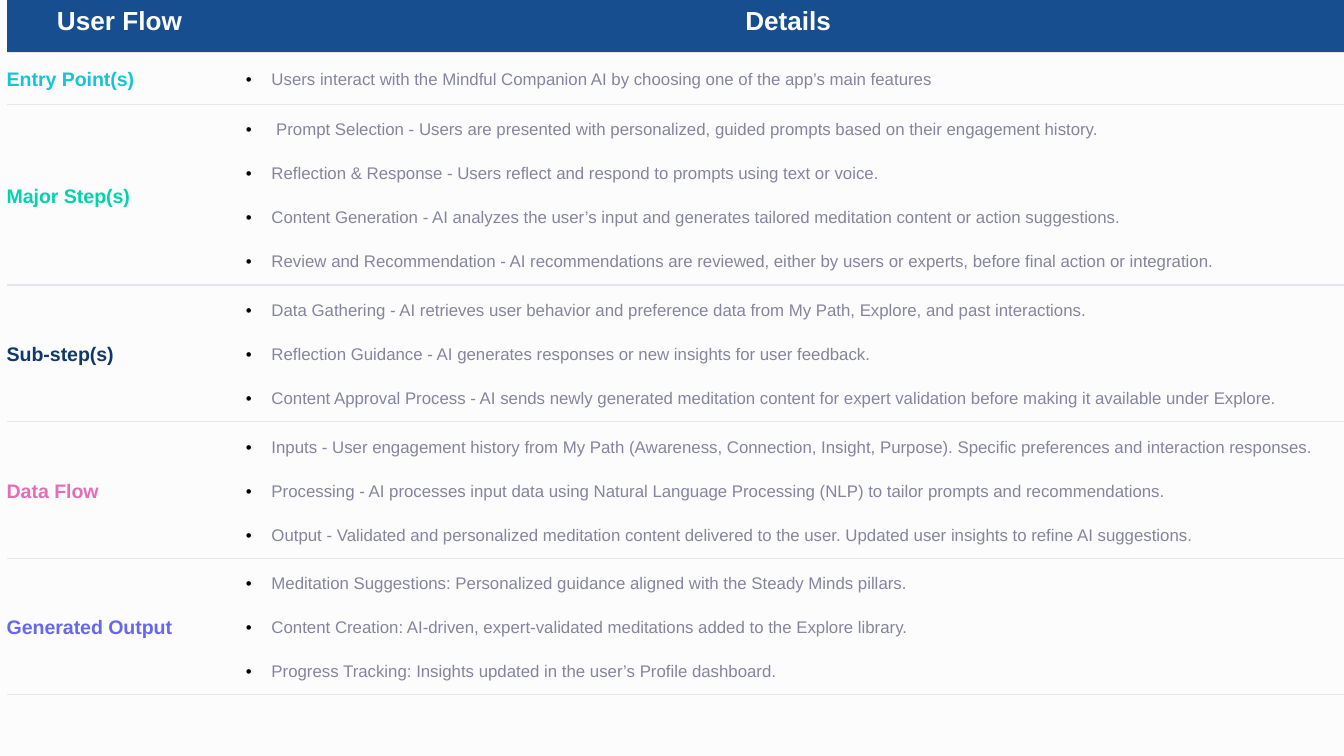
from lxml.etree import SubElement
from pptx import Presentation
from pptx.dml.color import RGBColor
from pptx.enum.text import MSO_ANCHOR, PP_ALIGN
from pptx.oxml.ns import qn
from pptx.util import Inches, Pt

COLORS = {
    "paper": "FCFCFC",
    "header": "174E8F",
    "rule": "E5E5EB",
    "detail": "85859F",
    "bullet": "000000",
    "entry": "18C3D9",
    "major": "00D3AD",
    "sub": "103869",
    "data": "E46EB5",
    "output": "6767ED",
}
COLUMN_WIDTHS = (1.78, 8.17)
ROW_HEIGHTS = (0.4, 0.34, 1.27, 0.96, 0.83, 0.96)
HEADINGS = ("User Flow", "Details")
STAGES = (
    ("Entry Point(s)", "entry", (
        "Users interact with the Mindful Companion AI by choosing one of the app’s main features",
    )),
    ("Major Step(s)", "major", (
        " Prompt Selection - Users are presented with personalized, guided prompts based on their engagement history.",
        "Reflection & Response - Users reflect and respond to prompts using text or voice.",
        "Content Generation - AI analyzes the user’s input and generates tailored meditation content or action suggestions.",
        "Review and Recommendation - AI recommendations are reviewed, either by users or experts, before final action or integration.",
    )),
    ("Sub-step(s)", "sub", (
        "Data Gathering - AI retrieves user behavior and preference data from My Path, Explore, and past interactions.",
        "Reflection Guidance - AI generates responses or new insights for user feedback.",
        "Content Approval Process - AI sends newly generated meditation content for expert validation before making it available under Explore.",
    )),
    ("Data Flow", "data", (
        "Inputs - User engagement history from My Path (Awareness, Connection, Insight, Purpose). Specific preferences and interaction responses.",
        "Processing - AI processes input data using Natural Language Processing (NLP) to tailor prompts and recommendations.",
        "Output - Validated and personalized meditation content delivered to the user. Updated user insights to refine AI suggestions.",
    )),
    ("Generated Output", "output", (
        "Meditation Suggestions: Personalized guidance aligned with the Steady Minds pillars.",
        "Content Creation: AI-driven, expert-validated meditations added to the Explore library.",
        "Progress Tracking: Insights updated in the user’s Profile dashboard.",
    )),
)


def rgb(name):
    """Return the named colour."""
    return RGBColor.from_string(COLORS[name])


def add_borders(cell, top):
    """Rule the cell above and below and leave its sides open."""
    properties = cell._tc.get_or_add_tcPr()
    for side, color in (("L", None), ("R", None), ("T", top), ("B", "rule")):
        line = SubElement(properties, qn(f"a:ln{side}"), w=str(Pt(0.75)))
        if color:
            fill = SubElement(line, qn("a:solidFill"))
            SubElement(fill, qn("a:srgbClr"), val=COLORS[color])
        else:
            SubElement(line, qn("a:noFill"))


def format_cell(cell, top_margin, top_rule="rule", fill=None):
    """Set the margins, anchor, rules and fill of a cell."""
    cell.margin_left = 0
    cell.margin_top = Inches(top_margin)
    cell.margin_right = cell.margin_bottom = Inches(0.1)
    cell.vertical_anchor = MSO_ANCHOR.MIDDLE
    add_borders(cell, top_rule)
    if fill:
        cell.fill.solid()
        cell.fill.fore_color.rgb = rgb(fill)
    else:
        cell.fill.background()


def write(paragraph, text, size, color, bold=True):
    """Add one formatted run to a paragraph."""
    paragraph.line_spacing = 1.15
    run = paragraph.add_run()
    run.text = text
    run.font.name = "Arial"
    run.font.size = Pt(size)
    run.font.bold = bold
    run.font.color.rgb = rgb(color)


def add_bullet(paragraph):
    """Give a paragraph a hanging round bullet."""
    properties = paragraph._p.get_or_add_pPr()
    properties.set("marL", str(Inches(0.19)))
    properties.set("indent", str(-Inches(0.19)))
    color = SubElement(properties, qn("a:buClr"))
    SubElement(color, qn("a:srgbClr"), val=COLORS["bullet"])
    SubElement(properties, qn("a:buFont"), typeface="Arial")
    SubElement(properties, qn("a:buChar"), char="•")


def fill_header(table):
    """Write the heading row."""
    for column, heading in enumerate(HEADINGS):
        cell = table.cell(0, column)
        format_cell(cell, 0, "paper", "header")
        paragraph = cell.text_frame.paragraphs[0]
        paragraph.alignment = PP_ALIGN.CENTER
        write(paragraph, heading, 14, "paper")


def fill_stage(table, row, label, color, details):
    """Write one stage label and its bulleted details."""
    label_cell, detail_cell = table.cell(row, 0), table.cell(row, 1)
    for cell in (label_cell, detail_cell):
        format_cell(cell, 0.1)
    write(label_cell.text_frame.paragraphs[0], label, 10.5, color)
    frame = detail_cell.text_frame
    for index, detail in enumerate(details):
        paragraph = frame.add_paragraph() if index else frame.paragraphs[0]
        add_bullet(paragraph)
        if index:
            paragraph.space_before = Pt(12)
        write(paragraph, detail, 9, "detail", bold=False)


def add_flow_table(slide):
    """Add the user flow table with its column and row sizes."""
    frame = slide.shapes.add_table(
        len(ROW_HEIGHTS), len(COLUMN_WIDTHS),
        Inches(0.05), Inches(-0.01), Inches(9.95), Inches(5.27))
    table = frame.table
    table.first_row = table.horz_banding = False
    for column, width in zip(table.columns, COLUMN_WIDTHS):
        column.width = Inches(width)
    for row, height in zip(table.rows, ROW_HEIGHTS):
        row.height = Inches(height)
    frame.height = Inches(5.27)
    return table


def main():
    """Build and save the user flow slide."""
    deck = Presentation()
    deck.slide_width = Inches(10)
    deck.slide_height = deck.slide_width * 9 // 16
    slide = deck.slides.add_slide(deck.slide_layouts[6])
    slide.background.fill.solid()
    slide.background.fill.fore_color.rgb = rgb("paper")
    table = add_flow_table(slide)
    fill_header(table)
    for row, (label, color, details) in enumerate(STAGES, start=1):
        fill_stage(table, row, label, color, details)
    deck.save("out.pptx")


if __name__ == "__main__":
    main()
